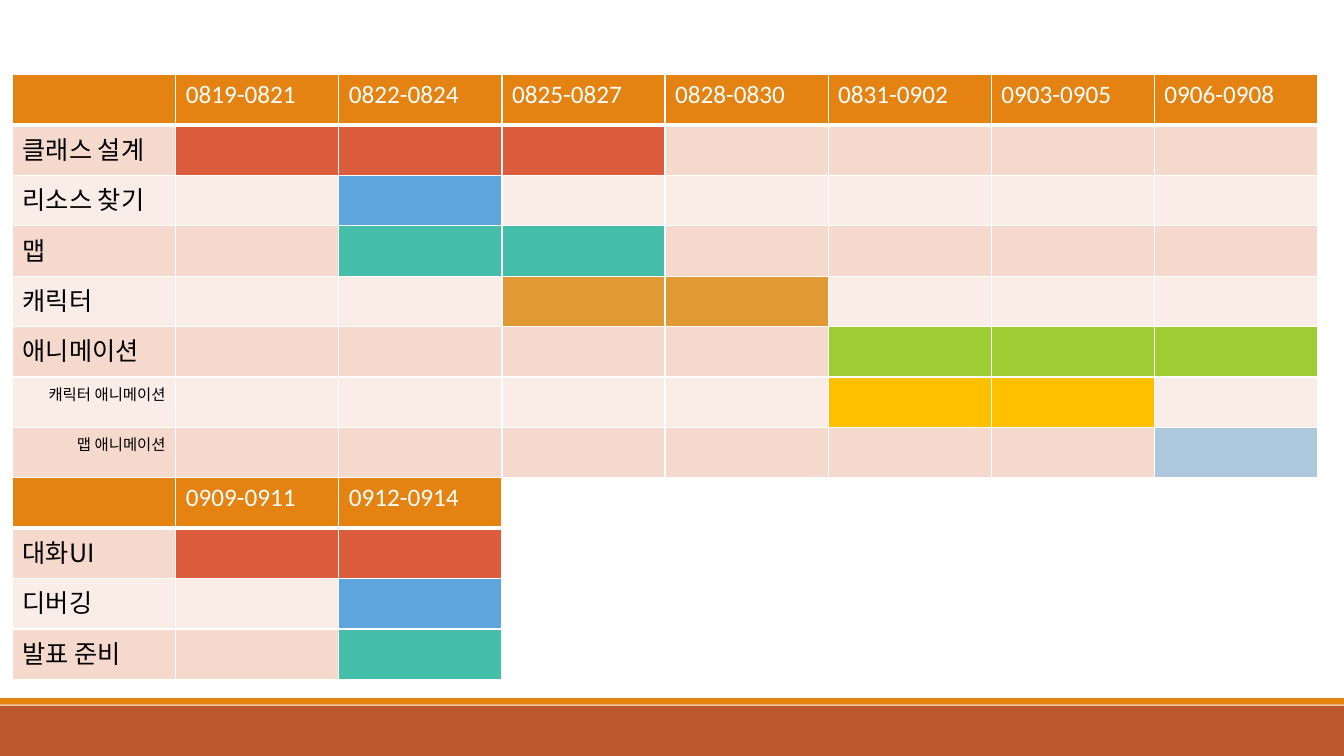
from lxml import etree
from pptx import Presentation
from pptx.dml.color import RGBColor
from pptx.enum.shapes import MSO_SHAPE
from pptx.enum.text import PP_ALIGN
from pptx.oxml.ns import qn
from pptx.util import Cm, Pt

RECT = MSO_SHAPE.RECTANGLE
LEFT, RIGHT = PP_ALIGN.LEFT, PP_ALIGN.RIGHT
ORANGE, RUST, WHITE, BLACK = "E48312", "BD582C", "FFFFFF", "000000"
BANDS = ("F5D9CC", "FAEDE7")
RED, BLUE, TEAL = "DC5D3D", "5EA5DD", "44BEA9"
AMBER, GREEN, GOLD, STEEL = "E19933", "9ECD33", "FFC000", "ADC8DD"
LATIN, KOREAN = "Calibri", "Noto Sans CJK KR"
COL_W, ROW_H = 4.11, 1.27

AUGUST_DATES = ["0819-0821", "0822-0824", "0825-0827", "0828-0830",
                "0831-0902", "0903-0905", "0906-0908"]
AUGUST_TASKS = [
    ("클래스 설계", 1, 3, RED, False),
    ("리소스 찾기", 2, 2, BLUE, False),
    ("맵", 2, 3, TEAL, False),
    ("캐릭터", 3, 4, AMBER, False),
    ("애니메이션", 5, 7, GREEN, False),
    ("캐릭터 애니메이션", 5, 6, GOLD, True),
    ("맵 애니메이션", 7, 7, STEEL, True),
]
SEPTEMBER_DATES = ["0909-0911", "0912-0914"]
SEPTEMBER_TASKS = [
    ("대화UI", 1, 2, RED, False),
    ("디버깅", 2, 2, BLUE, False),
    ("발표 준비", 2, 2, TEAL, False),
]


def rgb(value):
    return RGBColor.from_string(value)


class Schedule:
    def __init__(self, slide):
        self.s = slide

    def bar(self, top, height, color):
        sp = self.s.shapes.add_shape(RECT, 0, Cm(top), Cm(33.87), Cm(height))
        sp.shadow.inherit = False
        sp.fill.solid()
        sp.fill.fore_color.rgb = rgb(color)
        sp.line.fill.background()

    def borders(self, cell, bottom):
        tc_pr = cell._tc.get_or_add_tcPr()
        for side, width in (("L", 1), ("R", 1), ("T", 1), ("B", bottom)):
            ln = etree.SubElement(tc_pr, qn(f"a:ln{side}"), w=str(Pt(width)))
            fill = etree.SubElement(ln, qn("a:solidFill"))
            etree.SubElement(fill, qn("a:srgbClr"), val=WHITE)

    def cell(self, cell, fill, bottom=1):
        self.borders(cell, bottom)
        cell.fill.solid()
        cell.fill.fore_color.rgb = rgb(fill)

    def text(self, cell, text, font, color, size=18, align=LEFT):
        p = cell.text_frame.paragraphs[0]
        r = p.add_run()
        r.text = text
        p.alignment = align
        p.font.size = Pt(size)
        p.font.bold = False
        r.font.name = font
        r.font.color.rgb = rgb(color)
        etree.SubElement(r.font._element, qn("a:ea"), typeface=font)

    def gantt(self, left, top, dates, tasks):
        rows, cols = len(tasks) + 1, len(dates) + 1
        table = self.s.shapes.add_table(
            rows, cols, Cm(left), Cm(top), Cm(cols * COL_W), Cm(rows * ROW_H)).table
        for col in table.columns:
            col.width = Cm(COL_W)
        for row in table.rows:
            row.height = Cm(ROW_H)
        for c in range(cols):
            self.cell(table.cell(0, c), ORANGE, bottom=3)
        for c, date in enumerate(dates, 1):
            self.text(table.cell(0, c), date, LATIN, WHITE)
        for i, (name, first, last, color, is_subtask) in enumerate(tasks):
            for c in range(cols):
                fill = color if first <= c <= last else BANDS[i % 2]
                self.cell(table.cell(i + 1, c), fill)
            size, align = (11, RIGHT) if is_subtask else (18, LEFT)
            self.text(table.cell(i + 1, 0), name, KOREAN, BLACK, size, align)


def main():
    prs = Presentation()
    prs.slide_width, prs.slide_height = Cm(33.87), Cm(19.05)
    schedule = Schedule(prs.slides.add_slide(prs.slide_layouts[6]))
    schedule.bar(17.78, 1.27, RUST)
    schedule.bar(17.59, 0.17, ORANGE)
    schedule.gantt(0.32, 1.88, AUGUST_DATES, AUGUST_TASKS)
    schedule.gantt(0.32, 12.04, SEPTEMBER_DATES, SEPTEMBER_TASKS)
    prs.save("out.pptx")


if __name__ == "__main__":
    main()
